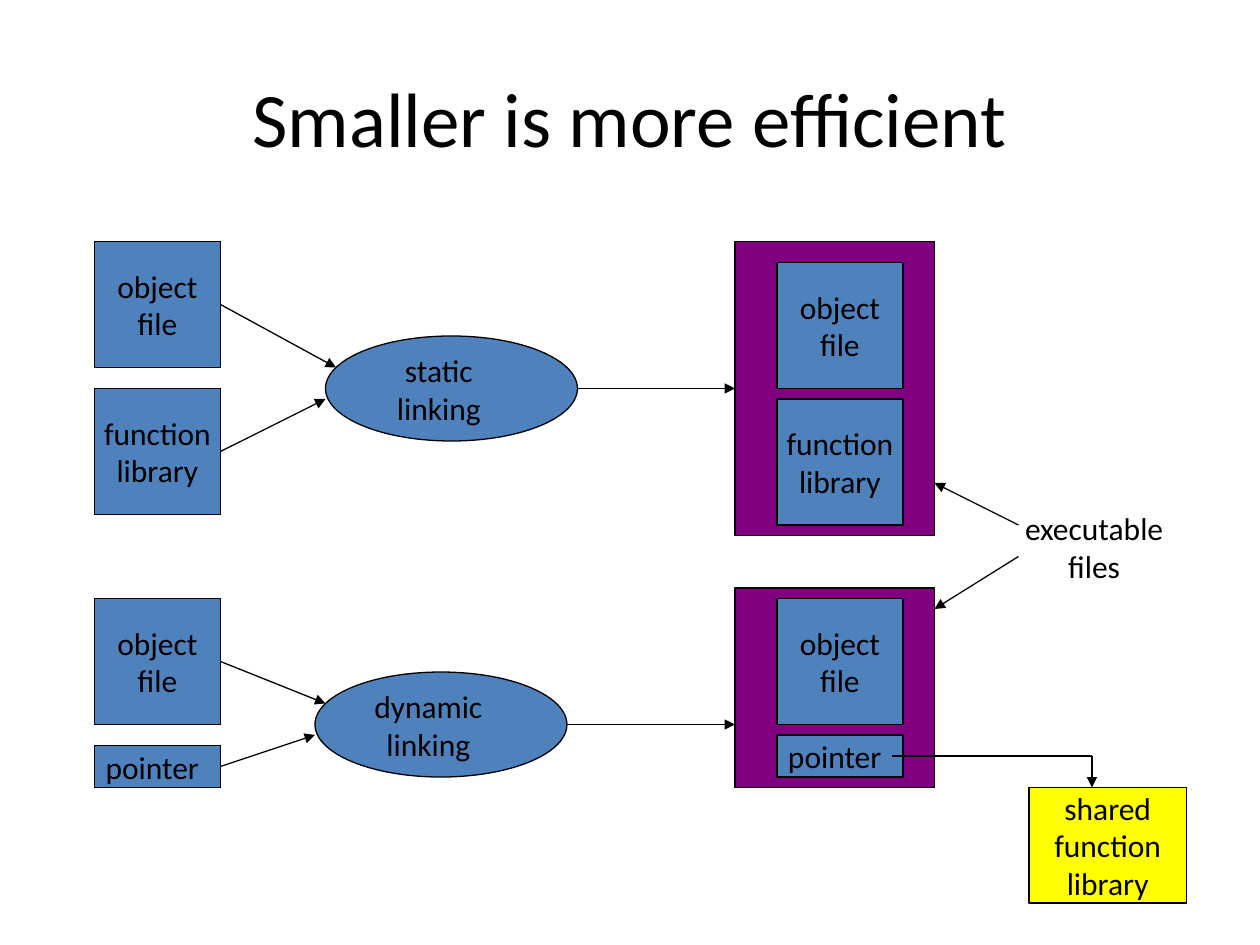
from dataclasses import dataclass

from lxml.etree import SubElement
from pptx import Presentation
from pptx.dml.color import RGBColor
from pptx.enum.shapes import MSO_CONNECTOR, MSO_SHAPE
from pptx.enum.text import MSO_ANCHOR, MSO_AUTO_SIZE, PP_ALIGN
from pptx.oxml.ns import qn
from pptx.util import Emu, Pt


@dataclass(frozen=True)
class Theme:
    font: str = "Calibri"
    title_size: int = 44
    label_size: int = 18
    line_width: float = 0.75
    ink: str = "000000"
    block_fill: str = "4F81BD"
    executable_fill: str = "800080"
    shared_fill: str = "FFFF00"


THEME = Theme()
PX = 7620  # EMU per px, 120 px to the inch
INSET = 6
LINE_HEIGHT = 35  # one line of label text
BLOCK = 120  # side of a square block
STRIP = 40  # height of a pointer block

# Label text: box width and extra right inset that moves the text left
OBJECT = ("object\nfile", 110, 0)
FUNCTION = ("function\nlibrary", 134, 0)
POINTER = ("pointer", 112, 10)
STATIC = ("static linking", 187, 24)
DYNAMIC = ("dynamic linking", 223, 24)
SHARED = ("shared\nfunction\nlibrary", 134, 0)
EXECUTABLE = ("executable\nfiles", 172, 28)


def px(*values):
    return [Emu(round(value * PX)) for value in values]


def color(value):
    return RGBColor.from_string(value)


def style_line(line):
    line.color.rgb = color(THEME.ink)
    line.width = Pt(THEME.line_width)


def add_text(shapes, text, box, size, frame_format):
    text_box = shapes.add_textbox(*px(*box))
    frame = text_box.text_frame
    inset, = px(INSET)
    settings = {
        "margin_left": inset,
        "margin_top": inset,
        "margin_right": inset,
        "margin_bottom": inset,
        "vertical_anchor": MSO_ANCHOR.MIDDLE,
        **frame_format,
    }
    for name, value in settings.items():
        setattr(frame, name, value)
    frame.text = text
    for paragraph in frame.paragraphs:
        paragraph.alignment = PP_ALIGN.CENTER
        font = paragraph.font
        for name, value in {"name": THEME.font, "size": Pt(size)}.items():
            setattr(font, name, value)
        font.color.rgb = color(THEME.ink)


def add_label(shapes, label, center_x, center_y):
    text, width, extra = label
    height = 2 * INSET + LINE_HEIGHT * len(text.split("\n"))
    box = (center_x - width / 2, center_y - height / 2, width, height)
    add_text(shapes, text, box, THEME.label_size, {
        "margin_right": px(INSET + extra)[0],
        "word_wrap": False,
        "auto_size": MSO_AUTO_SIZE.SHAPE_TO_FIT_TEXT,
    })


def add_outline(shapes, kind, box, fill):
    shape = shapes.add_shape(kind, *px(*box))
    shape.shadow.inherit = False
    shape.fill.solid()
    shape.fill.fore_color.rgb = color(fill)
    style_line(shape.line)


def add_block(slide, label, box, kind=MSO_SHAPE.RECTANGLE,
              fill=THEME.block_fill):
    group = slide.shapes.add_group_shape()
    left, top, width, height = box
    add_outline(group.shapes, kind, box, fill)
    add_label(group.shapes, label, left + width / 2, top + height / 2)


def add_line(slide, start, end, arrow=True):
    connector = slide.shapes.add_connector(
        MSO_CONNECTOR.STRAIGHT, *px(*start, *end))
    style_line(connector.line)
    properties = connector._element.spPr
    if arrow:
        SubElement(properties.find(qn("a:ln")), qn("a:tailEnd"),
                   type="triangle")
    SubElement(properties, qn("a:effectLst"))


def main():
    presentation = Presentation()
    presentation.slide_width, presentation.slide_height = px(1200, 900)
    slide = presentation.slides.add_slide(presentation.slide_layouts[6])

    add_text(slide.shapes, "Smaller is more efficient", (60, 36, 1080, 150),
             THEME.title_size, {"word_wrap": True})

    # Executable files, behind the blocks they contain
    for top, height in ((230, 280), (560, 190)):
        add_outline(slide.shapes, MSO_SHAPE.RECTANGLE,
                    (700, top, 190, height), THEME.executable_fill)

    # Inputs on the left, linked contents on the right
    for label, left, top, height in (
        (OBJECT, 90, 230, BLOCK),
        (FUNCTION, 90, 370, BLOCK),
        (OBJECT, 90, 570, BLOCK),
        (POINTER, 90, 710, STRIP),
        (OBJECT, 740, 250, BLOCK),
        (FUNCTION, 740, 380, BLOCK),
        (OBJECT, 740, 570, BLOCK),
        (POINTER, 740, 700, STRIP),
    ):
        add_block(slide, label, (left, top, BLOCK, height))

    # Linking steps
    for label, left, top in ((STATIC, 310, 320), (DYNAMIC, 300, 640)):
        add_block(slide, label, (left, top, 240, 100), MSO_SHAPE.OVAL)

    # Shared library and the caption for both executables
    add_block(slide, SHARED, (980, 750, 150, 110), fill=THEME.shared_fill)
    add_label(slide.shapes, EXECUTABLE, 1056, 521)

    # Arrows
    for start, end in (
        ((210, 290), (320, 350)),
        ((210, 430), (310, 380)),
        ((550, 370), (700, 370)),
        ((210, 630), (310, 670)),
        ((210, 730), (300, 700)),
        ((540, 690), (700, 690)),
        ((970, 500), (890, 460)),
        ((970, 530), (890, 580)),
        ((1040, 720), (1040, 750)),
    ):
        add_line(slide, start, end)
    add_line(slide, (1040, 720), (850, 720), arrow=False)

    presentation.save("out.pptx")


if __name__ == "__main__":
    main()
